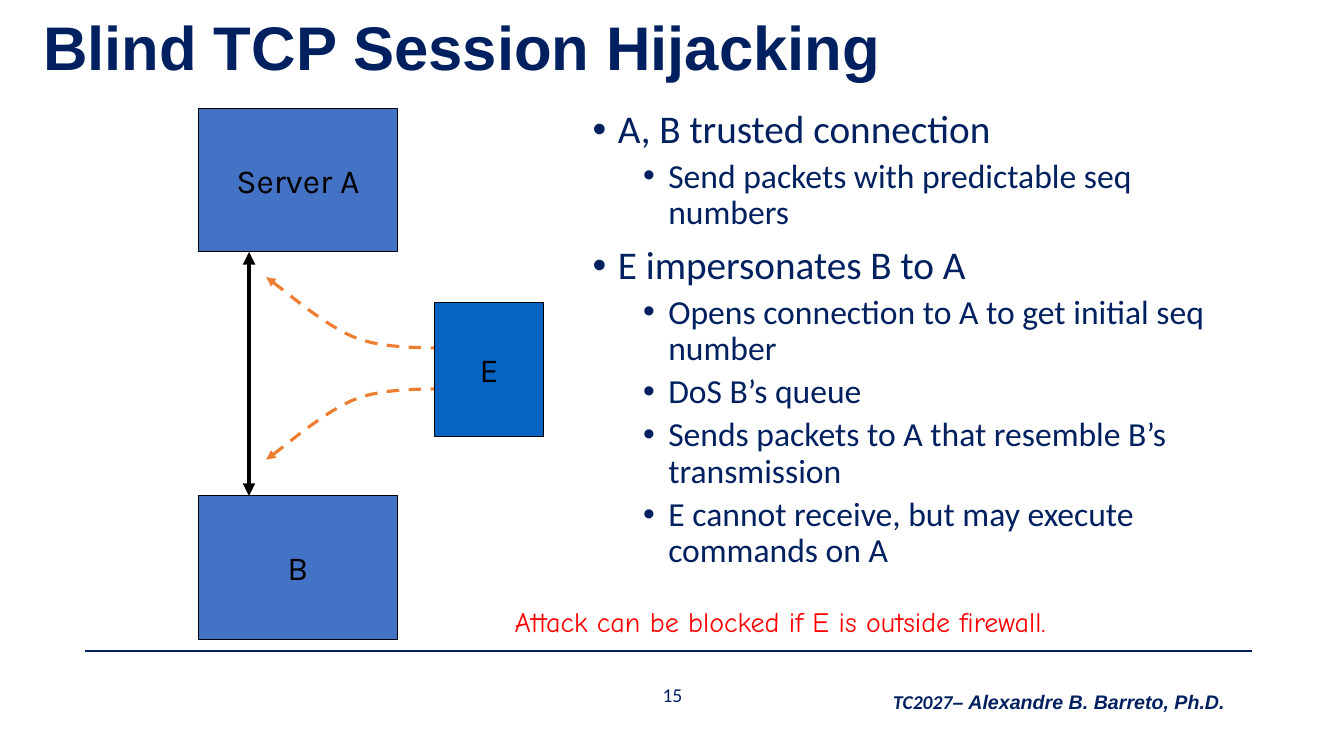
"""Build the slide on blind TCP session hijacking."""
import pptx
import pptx.dml.color
import pptx.enum.dml
import pptx.enum.shapes
import pptx.enum.text
import pptx.oxml
import pptx.oxml.ns
import pptx.util

SCALE = 9144
NAVY, BLACK, ORANGE = "002060", "000000", "ED7D31"
BULLETS = [
    (0, "A, B trusted connection"),
    (1, "Send packets with predictable seq numbers"),
    (0, "E impersonates B to A"),
    (1, "Opens connection to A to get initial seq number"),
    (1, "DoS B’s queue"),
    (1, "Sends packets to A that resemble B’s transmission"),
    (1, "E cannot receive, but may execute commands on A"),
]
SPOOF_CURVE = [
    [(264, 275), (279, 285), (322, 324), (355, 336)],
    [(355, 336), (388, 348), (439, 344), (461, 346)],
]
MIRROR_SUM = 731


def px(*lengths):
    return [pptx.util.Emu(round(length * SCALE)) for length in lengths]


def color(hex_code):
    return pptx.dml.color.RGBColor.from_string(hex_code)


def add_xml(parent, tag, **attributes):
    element = pptx.oxml.parse_xml(f"<a:{tag} {pptx.oxml.ns.nsdecls('a')}/>")
    for name, value in attributes.items():
        element.set(name, value)
    parent.append(element)


def add_run(paragraph, text, size=14, font="Calibri", ink=NAVY, bold=False, italic=False):
    run = paragraph.add_run()
    run.text = text
    run.font.size = pptx.util.Pt(size)
    run.font.name = font
    run.font.color.rgb = color(ink)
    run.font.bold = bold
    run.font.italic = italic


def prepare_frame(shape, centered=True, middle=True):
    frame = shape.text_frame
    frame.word_wrap = True
    anchor = pptx.enum.text.MSO_ANCHOR
    frame.vertical_anchor = anchor.MIDDLE if middle else anchor.TOP
    paragraph = frame.paragraphs[0]
    align = pptx.enum.text.PP_ALIGN
    paragraph.alignment = align.CENTER if centered else align.LEFT
    return paragraph


def add_text(slide, box, centered=True, middle=True):
    shape = slide.shapes.add_textbox(*px(*box))
    return prepare_frame(shape, centered, middle)


def style_line(line, ink, width):
    line.color.rgb = color(ink)
    line.width = pptx.util.Pt(width)


def add_host(slide, label, box, fill):
    shape = slide.shapes.add_shape(pptx.enum.shapes.MSO_SHAPE.RECTANGLE, *px(*box))
    shape.shadow.inherit = False
    shape.fill.solid()
    shape.fill.fore_color.rgb = color(fill)
    style_line(shape.line, BLACK, 0.75)
    add_run(prepare_frame(shape), label, size=24, font="Karla", ink=BLACK)


def add_line(slide, ends, ink, width, arrows=()):
    connector = slide.shapes.add_connector(pptx.enum.shapes.MSO_CONNECTOR.STRAIGHT, *px(*ends))
    style_line(connector.line, ink, width)
    for end in arrows:
        add_xml(connector.line._get_or_add_ln(), end, type="triangle")
    add_xml(connector._element.spPr, "effectLst")


def bezier_point(controls, t):
    weights = ((1 - t) ** 3, 3 * t * (1 - t) ** 2, 3 * t ** 2 * (1 - t), t ** 3)
    return tuple(sum(w * point[axis] for w, point in zip(weights, controls)) for axis in (0, 1))


def add_spoof_arrow(slide, mirrored, steps=16):
    points = [bezier_point(part, step / steps) for part in SPOOF_CURVE for step in range(steps + 1)]
    if mirrored:
        points = [(x, MIRROR_SUM - y) for x, y in points]
    points = [px(*point) for point in points]
    builder = slide.shapes.build_freeform(*points[0])
    builder.add_line_segments(points[1:], close=False)
    shape = builder.convert_to_shape()
    shape.shadow.inherit = False
    shape.fill.background()
    style_line(shape.line, ORANGE, 2.25)
    shape.line.dash_style = pptx.enum.dml.MSO_LINE.DASH
    add_xml(shape.line._get_or_add_ln(), "headEnd", type="triangle")


def add_bullets(slide, box):
    first = add_text(slide, box, centered=False, middle=False)
    frame = slide.shapes[-1].text_frame
    for index, (level, text) in enumerate(BULLETS):
        paragraph = frame.add_paragraph() if index else first
        paragraph.level = level
        paragraph.line_spacing = 0.9
        paragraph.space_before = pptx.util.Pt(5 if level else 10)
        properties = paragraph._p.get_or_add_pPr()
        left, indent = px(25 + 50 * level, -25)
        properties.set("marL", str(left))
        properties.set("indent", str(indent))
        add_xml(properties, "buFont", typeface="Arial")
        add_xml(properties, "buChar", char="•")
        add_run(paragraph, text, size=28 - 4 * level)


def add_footer(slide):
    add_line(slide, (84, 646, 1242, 646), NAVY, 1.5)
    add_run(add_text(slide, (581, 679, 172, 20)), "15")
    credit = add_text(slide, (867, 680, 367, 34), middle=False)
    add_run(credit, "TC2027", bold=True, italic=True)
    add_run(credit, "– Alexandre B. Barreto, Ph.D.", font="Arial", bold=True, italic=True)


def main():
    presentation = pptx.Presentation()
    presentation.slide_width, presentation.slide_height = px(1333, 750)
    slide = presentation.slides.add_slide(presentation.slide_layouts[6])
    add_footer(slide)
    title = add_text(slide, (33, 6, 1150, 88), centered=False)
    title.line_spacing = 0.9
    add_run(title, "Blind TCP Session Hijacking", size=44, font="Arial", bold=True)
    add_bullets(slide, (578, 104, 632, 488))
    for label, top in (("Server A", 108), ("B", 492)):
        add_host(slide, label, (197, top, 197, 142), "4472C4")
    add_line(slide, (247, 250, 247, 492), BLACK, 3, arrows=("headEnd", "tailEnd"))
    for mirrored in (False, True):
        add_spoof_arrow(slide, mirrored)
    add_host(slide, "E", (431, 300, 108, 133), "0563C1")
    note = add_text(slide, (468, 595, 612, 43))
    add_run(note, "Attack can be blocked if E is outside firewall.", size=20, font="Comic Neue", ink="FF0000")
    presentation.save("out.pptx")


if __name__ == "__main__":
    main()
